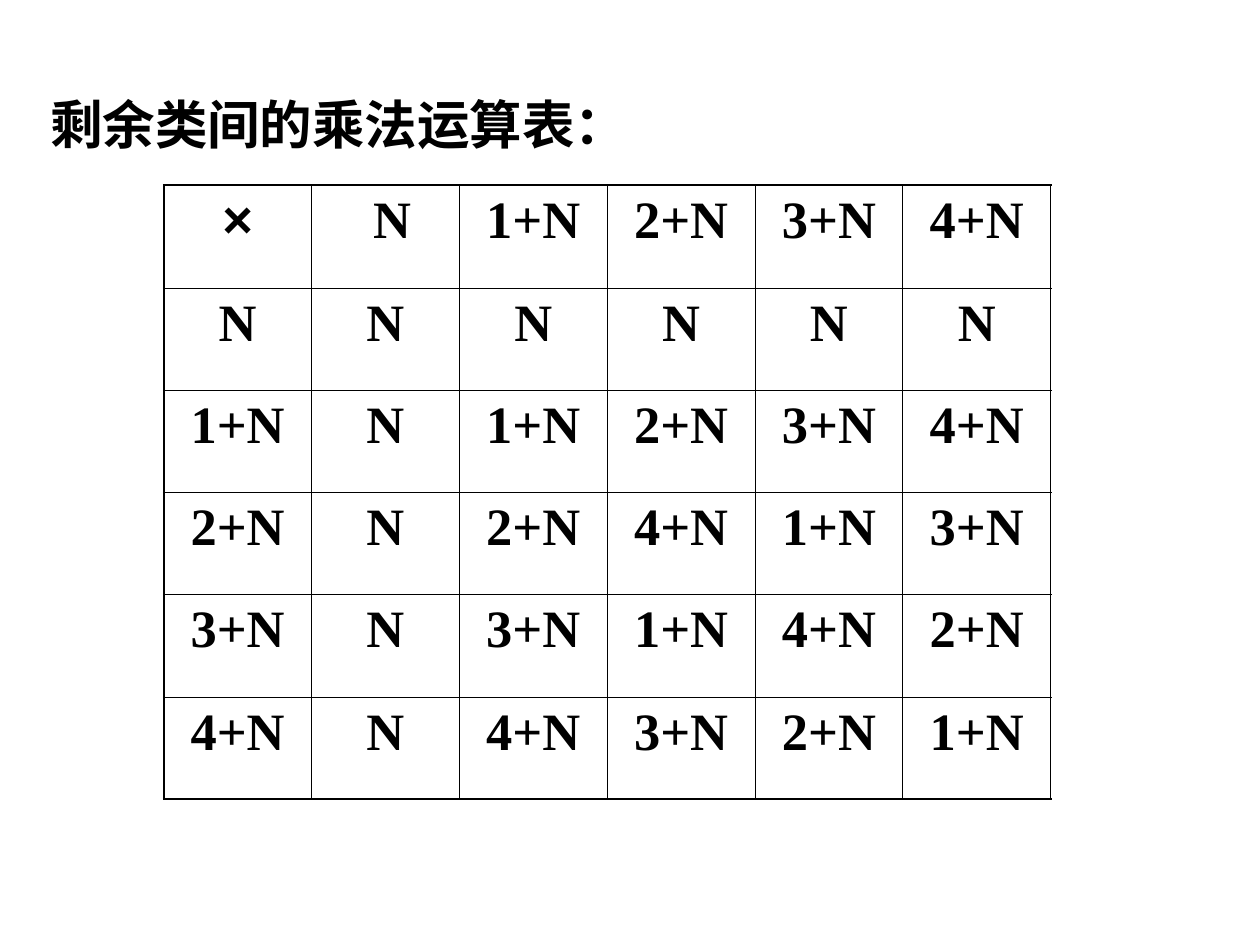
import dataclasses

import lxml.etree
import pptx
import pptx.dml.color
import pptx.enum.text
import pptx.oxml.ns
import pptx.util

Cm = pptx.util.Cm
Pt = pptx.util.Pt
qn = pptx.oxml.ns.qn


@dataclasses.dataclass(frozen=True)
class Theme:
    ink: str = "000000"
    size: float = 30
    head: str = "Noto Sans CJK SC"
    sign: str = "Arial"
    body: str = "Times New Roman"
    thin: float = 0.45
    thick: float = 1.08


THEME = Theme()
ORDER = 5


def add_run(para, text, face):
    run = para.add_run()
    run.text = text
    font = run.font
    font.name = face
    font.size = Pt(THEME.size)
    font.bold = True
    font.color.rgb = pptx.dml.color.RGBColor.from_string(THEME.ink)
    # East Asian text takes its face from a separate element.
    east = lxml.etree.SubElement(run.font._element, qn("a:ea"))
    east.set("typeface", face)


def add_title(slide, text):
    box = slide.shapes.add_textbox(Cm(0.76), Cm(1.73), Cm(23.6), Cm(1.8))
    frame = box.text_frame
    frame.word_wrap = True
    add_run(frame.paragraphs[0], text, THEME.head)


def add_edge(cell, side, width):
    props = cell._tc.get_or_add_tcPr()
    line = lxml.etree.SubElement(props, qn("a:ln" + side), w=str(Pt(width)))
    fill = lxml.etree.SubElement(line, qn("a:solidFill"))
    lxml.etree.SubElement(fill, qn("a:srgbClr"), val=THEME.ink)


def style_cell(cell, row, col):
    """Rule the cell, with thick lines on the rim of the table."""
    rim = {"L": col == 0, "R": col == ORDER, "T": row == 0, "B": row == ORDER}
    for side, outer in rim.items():
        add_edge(cell, side, THEME.thick if outer else THEME.thin)
    cell.fill.background()


def coset(num):
    return f"{num}+N" if num else "N"


def label(row, col):
    """Give the text of a cell: a heading or a product of two classes."""
    if row == col == 0:
        return "×"
    if row == 0:
        return " N" if col == 1 else coset(col - 1)
    if col == 0:
        return coset(row - 1)
    return coset((row - 1) * (col - 1) % ORDER)


def add_grid(slide):
    count = ORDER + 1
    frame = slide.shapes.add_table(
        count, count, Cm(3.3), Cm(3.73), Cm(17.88), Cm(12.38))
    table = frame.table
    table.first_row = False
    table.horz_banding = False
    for col in table.columns:
        col.width = Cm(2.98)
    for num, row in enumerate(table.rows):
        row.height = Cm(2.06 if num else 2.08)
    for row in range(count):
        for col in range(count):
            cell = table.cell(row, col)
            style_cell(cell, row, col)
            para = cell.text_frame.paragraphs[0]
            para.alignment = pptx.enum.text.PP_ALIGN.CENTER
            face = THEME.sign if row == col == 0 else THEME.body
            add_run(para, label(row, col), face)


def main():
    deck = pptx.Presentation()
    deck.slide_width = Cm(25.4)
    deck.slide_height = Cm(19.05)
    slide = deck.slides.add_slide(deck.slide_layouts[6])
    add_title(slide, "剩余类间的乘法运算表：")
    add_grid(slide)
    deck.save("out.pptx")


if __name__ == "__main__":
    main()
